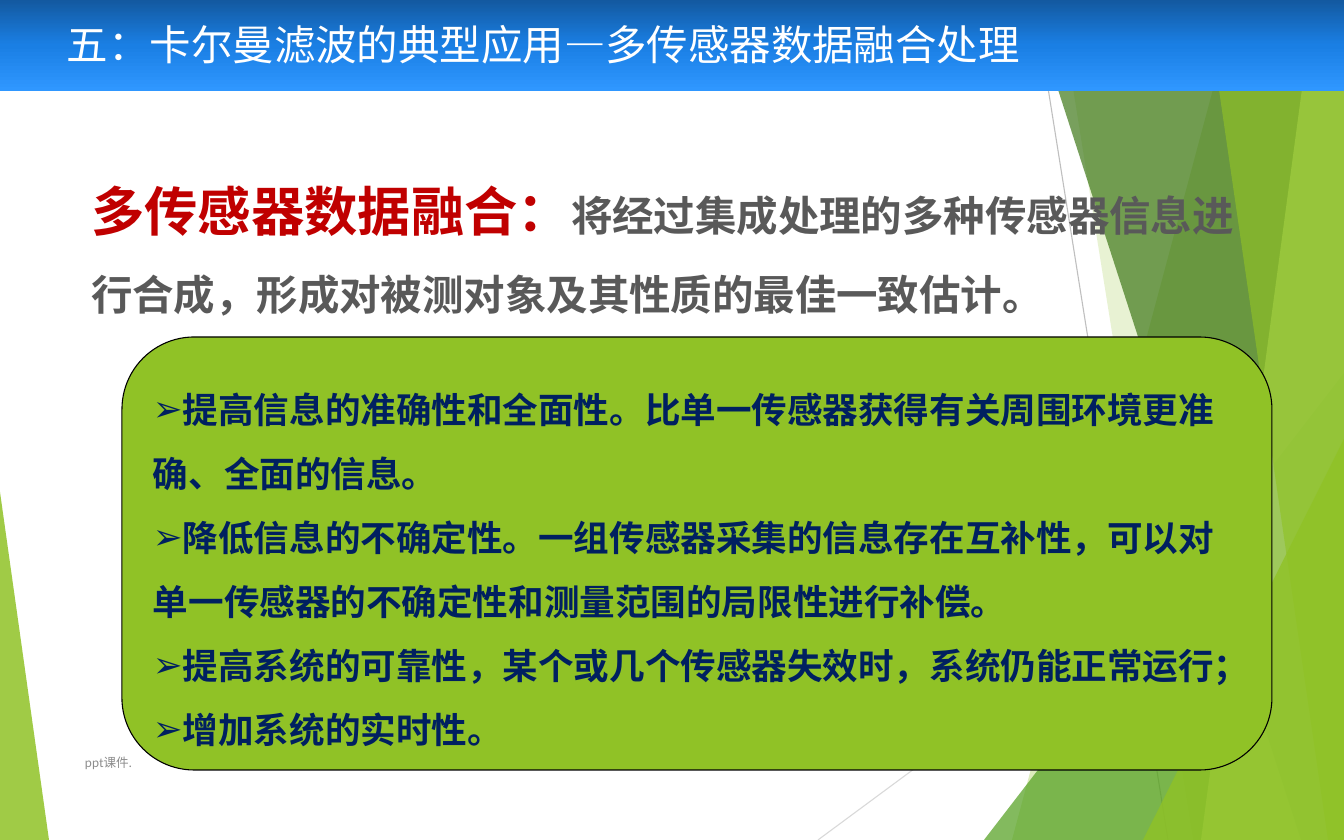
from copy import deepcopy

from lxml.etree import SubElement
from pptx import Presentation
from pptx.dml.color import RGBColor
from pptx.enum.shapes import MSO_CONNECTOR, MSO_SHAPE
from pptx.enum.text import MSO_ANCHOR, MSO_AUTO_SIZE, PP_ALIGN
from pptx.oxml.ns import qn
from pptx.util import Pt

WIDTH, HEIGHT = 1344, 840
EMU_PER_PIXEL = 8572.5
CJK_FONT = "Noto Sans CJK SC"


def px(length):
    return round(length * EMU_PER_PIXEL)


def color(hex_code):
    return RGBColor.from_string(hex_code)


def add_text(paragraph, text, size, fill, font=CJK_FONT, bold=False):
    run = paragraph.add_run()
    run.text = text
    run.font.name = font
    run.font.size = Pt(size)
    run.font.bold = bold
    run.font.color.rgb = color(fill)
    east_asian = SubElement(run.font._element, qn("a:ea"))
    east_asian.set("typeface", CJK_FONT)


class SlideBuilder:
    green = "90C226"
    navy = "002060"
    red = "C00000"
    gray = "595959"

    def __init__(self, slide):
        self.slide = slide
        self.shapes = slide.shapes

    def paint(self, shape, fill, opacity=100, line=None):
        shape.shadow.inherit = False
        shape.fill.solid()
        shape.fill.fore_color.rgb = color(fill)
        if opacity < 100:
            rgb = shape._element.spPr.find(".//" + qn("a:srgbClr"))
            SubElement(rgb, qn("a:alpha")).set("val", str(opacity * 1000))
        if line:
            shape.line.color.rgb = color(line)
            shape.line.width = Pt(0.75)
        else:
            shape.line.fill.background()

    def hairline(self, start, end, stroke):
        line = self.shapes.add_connector(
            MSO_CONNECTOR.STRAIGHT, *map(px, start + end))
        line.line.color.rgb = color(stroke)
        line.line.width = Pt(0.75)
        SubElement(line._element.spPr, qn("a:effectLst"))

    def panel(self, top_x, bottom_x, fill, opacity):
        """Band from a slanted left edge to the right edge of the slide."""
        outline = self.shapes.build_freeform(px(top_x), 0)
        outline.add_line_segments(
            [(px(x), px(y)) for x, y in
             ((WIDTH, 0), (WIDTH, HEIGHT), (bottom_x, HEIGHT))])
        self.paint(outline.convert_to_shape(), fill, opacity)

    def corner(self, left, top, width, peak, fill, opacity):
        """Triangle standing on the bottom edge of the slide."""
        triangle = self.shapes.add_shape(
            MSO_SHAPE.ISOSCELES_TRIANGLE,
            *map(px, (left, top, width, HEIGHT - top)))
        triangle.adjustments[0] = peak
        self.paint(triangle, fill, opacity)

    def card(self, box, fill, line):
        card = self.shapes.add_shape(
            MSO_SHAPE.ROUNDED_RECTANGLE, *map(px, box))
        self.paint(card, fill, line=line)

    def gradient_bar(self, box, colors):
        bar = self.shapes.add_shape(MSO_SHAPE.RECTANGLE, *map(px, box))
        bar.shadow.inherit = False
        bar.line.fill.background()
        bar.fill.gradient()
        bar.fill.gradient_angle = 270
        first_stop = bar._element.spPr.find(".//" + qn("a:gs"))
        for _ in colors[2:]:
            first_stop.addnext(deepcopy(first_stop))
        for index, stop in enumerate(bar.fill.gradient_stops):
            stop.position = index / (len(colors) - 1)
            stop.color.rgb = color(colors[index])

    def frame(self, shape, box, anchor=MSO_ANCHOR.TOP):
        shape.left, shape.top, shape.width, shape.height = map(px, box)
        text = shape.text_frame
        text.word_wrap = True
        text.auto_size = MSO_AUTO_SIZE.NONE
        text.vertical_anchor = anchor
        text.margin_left = text.margin_right = 0
        text.margin_top = text.margin_bottom = 0
        return text

    def placeholder(self, index, box):
        """Move a template placeholder to the front and return its text."""
        holder = self.slide.placeholders[index]
        self.shapes._spTree.append(holder._element)
        return self.frame(holder, box)

    def title(self, text, box):
        heading = self.placeholder(0, box).paragraphs[0]
        heading.alignment = PP_ALIGN.LEFT
        add_text(heading, text, size=28, fill="FFFFFF")

    def bullets(self, items, box, pitch):
        body = self.placeholder(1, box)
        for index, item in enumerate(items):
            entry = body.add_paragraph() if index else body.paragraphs[0]
            entry.line_spacing = Pt(pitch)
            entry.space_before = entry.space_after = Pt(0)
            properties = entry._p.get_or_add_pPr()
            properties.set("marL", "0")
            properties.set("indent", "0")
            SubElement(properties, qn("a:buFont")).set("typeface", "Arial")
            SubElement(properties, qn("a:buChar")).set("char", "➢")
            add_text(entry, item, size=24, fill=self.navy, font="Arial", bold=True)

    def text_box(self, box, runs, pitch=None, anchor=MSO_ANCHOR.TOP):
        label = self.shapes.add_textbox(0, 0, 0, 0)
        paragraph = self.frame(label, box, anchor).paragraphs[0]
        if pitch:
            paragraph.line_spacing = Pt(pitch)
        for text, style in runs:
            add_text(paragraph, text, **style)


presentation = Presentation()
presentation.slide_width, presentation.slide_height = px(WIDTH), px(HEIGHT)
fusion = SlideBuilder(presentation.slides.add_slide(presentation.slide_layouts[1]))

# Green facets at the slide edges
fusion.hairline((1034, 0), (1168, HEIGHT), "BFBFBF")
fusion.hairline((WIDTH, 451), (818, HEIGHT), "D9D9D9")
fusion.panel(1237, 1012, fusion.green, 30)
fusion.panel(1059, 1193, fusion.green, 20)
fusion.corner(984, 373, 360, 1, "54A021", 72)
fusion.panel(1029, 1301, "3F7819", 70)
fusion.panel(1314, 1201, "C0E474", 70)
fusion.panel(1206, 1328, fusion.green, 65)
fusion.corner(1143, 439, 201, 1, fusion.green, 80)
fusion.corner(0, 492, 49, 0, fusion.green, 85)

# Title bar
fusion.gradient_bar((0, 0, WIDTH, 91), ("1359A0", "1A7FE4", "2F97FF"))
fusion.title("五：卡尔曼滤波的典型应用—多传感器数据融合处理", (67, 19, 1000, 60))

# Definition
fusion.text_box(
    (91, 165, 1179, 160),
    [("多传感器数据融合：",
      dict(size=36, fill=fusion.red, font="Calibri", bold=True)),
     ("将经过集成处理的多种传感器信息进行合成，形成对被测对象及其性质的最佳一致估计。",
      dict(size=28, fill=fusion.gray, font="Calibri", bold=True))],
    pitch=52)

# Benefits of fusion
fusion.card((122, 337, 1150, 433), fusion.green, "000000")
fusion.bullets(
    ["提高信息的准确性和全面性。比单一传感器获得有关周围环境更准确、全面的信息。",
     "降低信息的不确定性。一组传感器采集的信息存在互补性，可以对单一传感器的不确定性和测量范围的局限性进行补偿。",
     "提高系统的可靠性，某个或几个传感器失效时，系统仍能正常运行；",
     "增加系统的实时性。"],
    (153, 367, 1086, 384), pitch=43.2)

# Footer
fusion.text_box((85, 740, 690, 45),
                [("ppt课件.", dict(size=8.5, fill="8C8C8C", font="Lato"))],
                anchor=MSO_ANCHOR.MIDDLE)

presentation.save("out.pptx")
